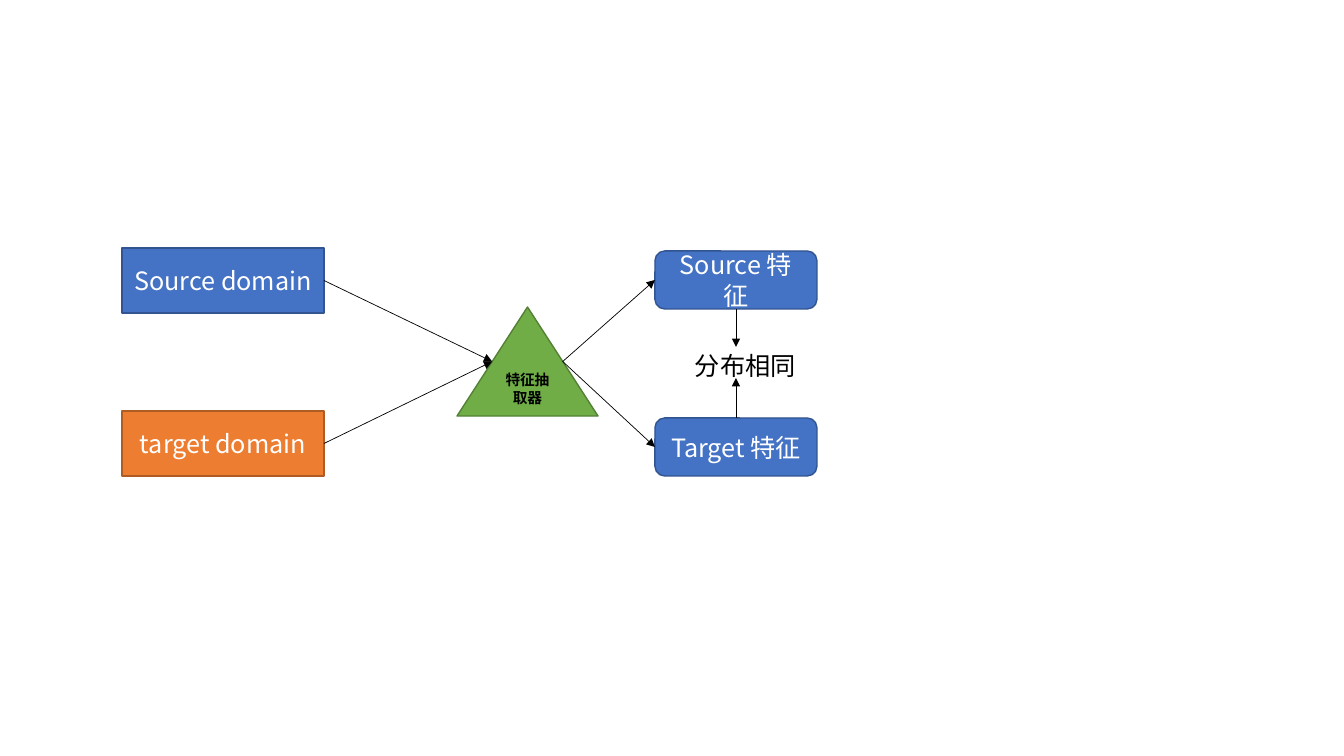
"""Build the domain adaptation feature-extraction diagram slide."""
from lxml.etree import SubElement
from pptx import Presentation
from pptx.dml.color import RGBColor
from pptx.enum.shapes import MSO_CONNECTOR, MSO_SHAPE as Preset
from pptx.enum.text import MSO_ANCHOR, MSO_AUTO_SIZE, PP_ALIGN
from pptx.oxml.ns import qn
from pptx.util import Emu, Pt

SCALE = 914400 / 100.8
FONT = "Noto Sans CJK SC"
COLORS = {
    "blue": "4472C4", "blue_edge": "325491",
    "orange": "ED7D31", "orange_edge": "AF5C24",
    "green": "70AD47", "green_edge": "538035",
    "white": "FFFFFF", "black": "000000",
}
LIGHT = {"size": Pt(18), "bold": False, "color": "white"}
DARK = {"size": Pt(18), "bold": False, "color": "black"}
SMALL = {"size": Pt(10.5), "bold": True, "color": "black"}

NODES = {
    "source": ("Source domain", Preset.RECTANGLE, (122, 248, 202, 65), "blue", LIGHT),
    "target": ("target domain", Preset.RECTANGLE, (122, 411, 202, 65), "orange", LIGHT),
    "extractor": ("特征抽取器", Preset.ISOSCELES_TRIANGLE, (457, 307, 141, 109), "green", SMALL),
    "source_feature": ("Source 特征", Preset.ROUNDED_RECTANGLE, (655, 251, 162, 58), "blue", LIGHT),
    "target_feature": ("Target 特征", Preset.ROUNDED_RECTANGLE, (655, 418, 162, 58), "blue", LIGHT),
}
CAPTION = ("分布相同", (685, 345, 263, 40))
CAPTION_EDGES = {"top": 347, "bottom": 378}
FLOWS = [
    ("source", "extractor"),
    ("target", "extractor"),
    ("extractor", "source_feature"),
    ("extractor", "target_feature"),
]
MATCHES = [("source_feature", "bottom", "top"), ("target_feature", "top", "bottom")]


def px(length):
    return Emu(round(length * SCALE))


def rgb(color):
    return RGBColor.from_string(COLORS[color])


def write(frame, wording, style, align):
    frame.word_wrap = True
    paragraph = frame.paragraphs[0]
    paragraph.alignment = align
    run = paragraph.add_run()
    run.text = wording
    for attribute, setting in {"name": FONT, "size": style["size"], "bold": style["bold"]}.items():
        setattr(run.font, attribute, setting)
    run.font.color.rgb = rgb(style["color"])
    SubElement(run.font._element, qn("a:ea"), typeface=FONT)


def anchor(node, side):
    _, preset, (left, top, width, height), _, _ = NODES[node]
    inset = width / 4 if preset == Preset.ISOSCELES_TRIANGLE else 0
    return {
        "left": (left + inset, top + height / 2),
        "right": (left + width - inset, top + height / 2),
        "top": (left + width / 2, top),
        "bottom": (left + width / 2, top + height),
    }[side]


def add_arrow(shapes, start, end):
    arrow = shapes.add_connector(MSO_CONNECTOR.STRAIGHT, *map(px, start + end))
    arrow.line.width = Pt(0.5)
    arrow.line.color.rgb = rgb("black")
    SubElement(arrow.line._get_or_add_ln(), qn("a:tailEnd"), type="triangle")
    SubElement(arrow._element.spPr, qn("a:effectLst"))


deck = Presentation()
deck.slide_width, deck.slide_height = px(1344), px(756)
shapes = deck.slides.add_slide(deck.slide_layouts[6]).shapes

for wording, preset, box, color, style in NODES.values():
    node = shapes.add_shape(preset, *map(px, box))
    node.shadow.inherit = False
    node.fill.solid()
    node.fill.fore_color.rgb = rgb(color)
    node.line.color.rgb = rgb(color + "_edge")
    node.line.width = Pt(1)
    node.text_frame.vertical_anchor = MSO_ANCHOR.MIDDLE
    write(node.text_frame, wording, style, PP_ALIGN.CENTER)

wording, box = CAPTION
caption = shapes.add_textbox(*map(px, box)).text_frame
caption.auto_size = MSO_AUTO_SIZE.SHAPE_TO_FIT_TEXT
write(caption, wording, DARK, PP_ALIGN.LEFT)

for origin, goal in FLOWS:
    add_arrow(shapes, anchor(origin, "right"), anchor(goal, "left"))
for feature, side, caption_side in MATCHES:
    start = anchor(feature, side)
    add_arrow(shapes, start, (start[0], CAPTION_EDGES[caption_side]))

deck.save("out.pptx")
